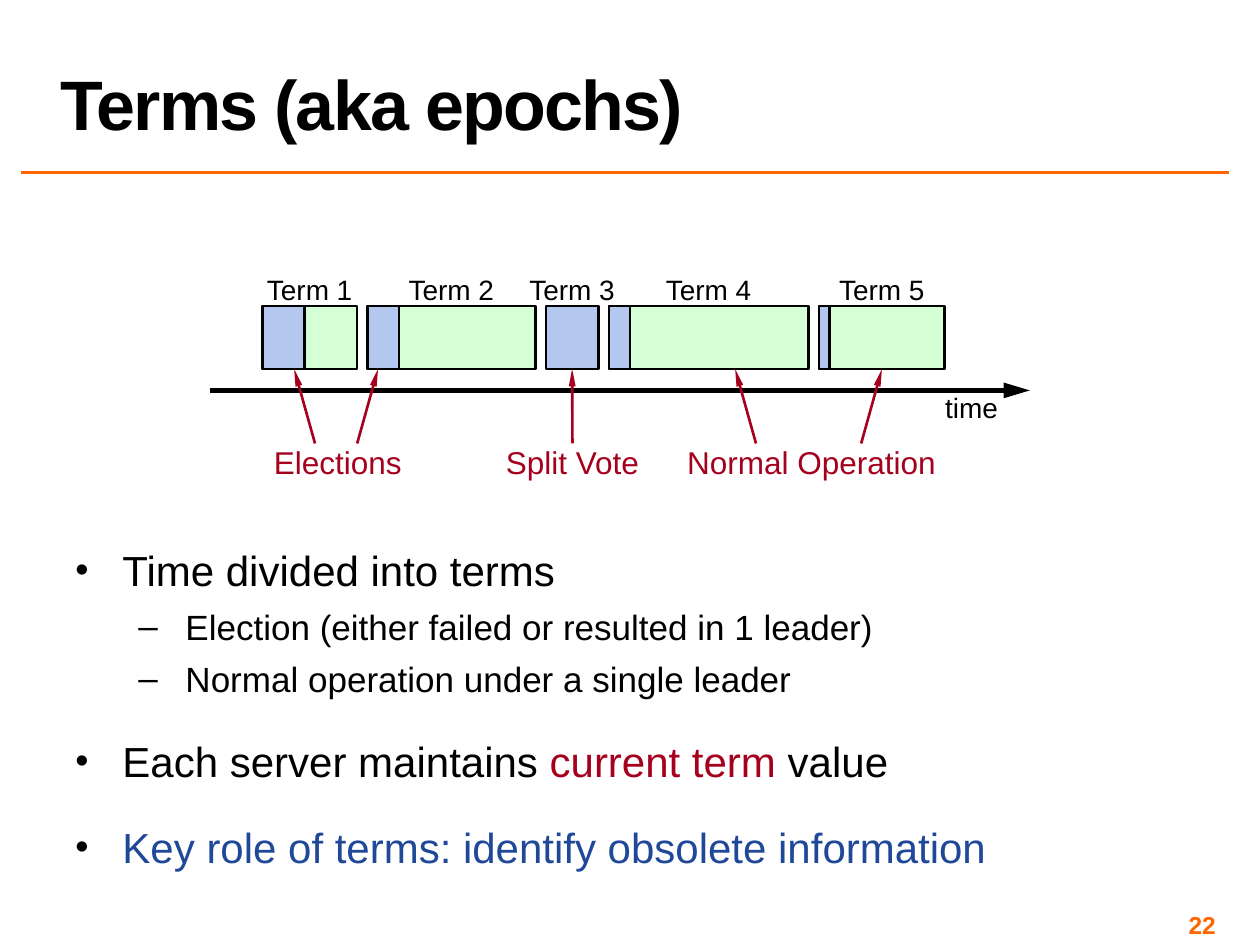
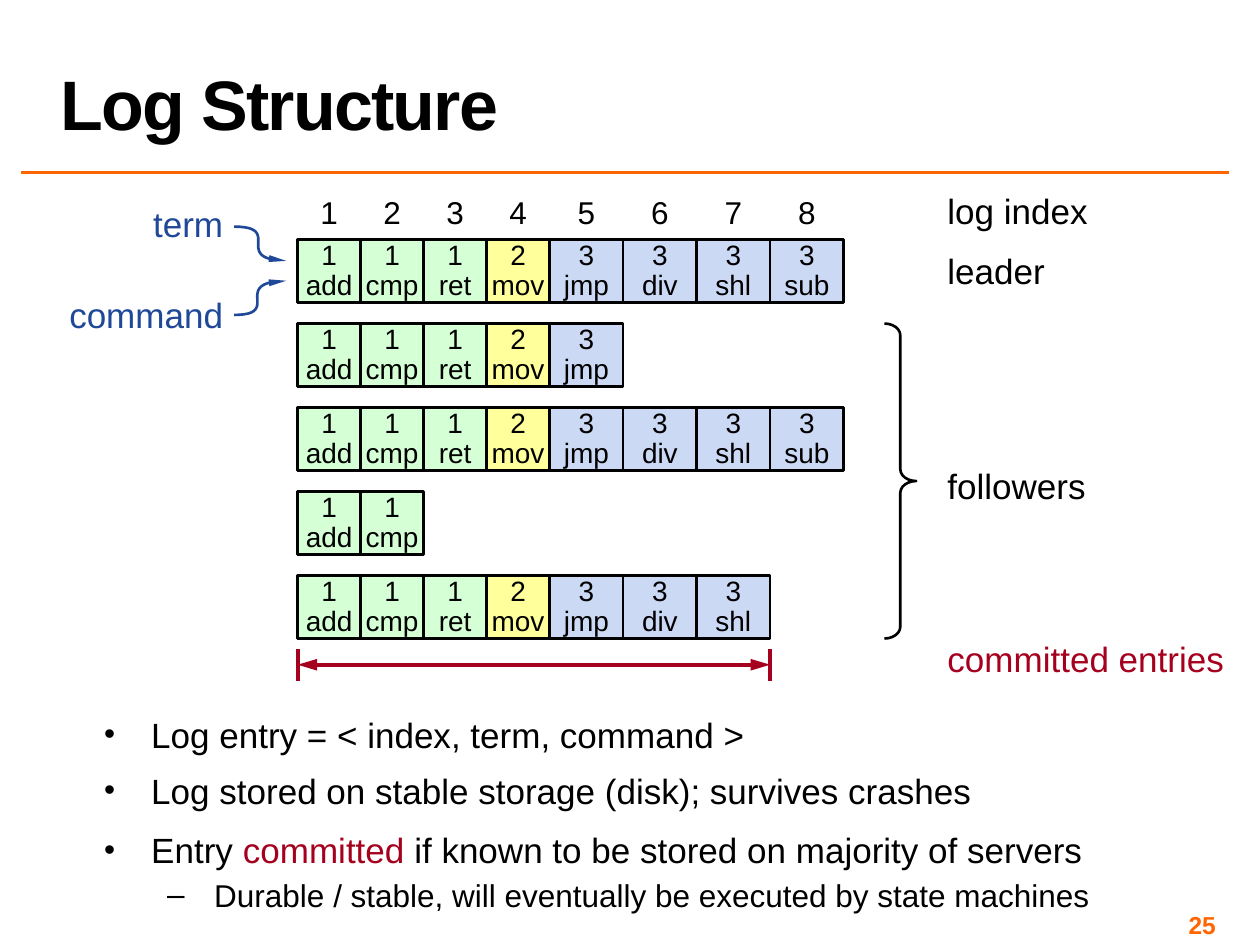
"""Build two slides on consensus terms and replicated log structure."""
import lxml.etree
import pptx
import pptx.dml.color
import pptx.enum.shapes
import pptx.enum.text
import pptx.oxml.ns
import pptx.util

Cm = pptx.util.Cm
Pt = pptx.util.Pt
ALIGN = pptx.enum.text.PP_ALIGN
ANCHOR = pptx.enum.text.MSO_ANCHOR
SHAPE = pptx.enum.shapes.MSO_SHAPE
qn = pptx.oxml.ns.qn

COLORS = {
    "black": "000000",
    "rule": "FF6600",
    "number": "FF6501",
    "red": "A5001E",
    "blue": "1F4899",
    "election": "B3C7EF",
    "green": "D5FFD5",
    "yellow": "FFFF9B",
    "lavender": "CCD9F4",
}
FONT = "Arial"
UNIT = Cm(2.54) // 12
BOX_HEIGHT = 6 * UNIT
TERMS = [(9, 4), (16, 3), (5, 5), (19, 2), (12, 1)]
ENTRIES = [(1, "add"), (1, "cmp"), (1, "ret"), (2, "mov"),
           (3, "jmp"), (3, "div"), (3, "shl"), (3, "sub")]
ENTRY_WIDTHS = [6 * UNIT] * 4 + [7 * UNIT] * 4
TERM_COLORS = {1: "green", 2: "yellow", 3: "lavender"}
LOG_LENGTHS = [8, 5, 8, 2, 7]
COMMITTED = 7


def rgb(color):
    return pptx.dml.color.RGBColor.from_string(COLORS[color])


def set_font(font, size, color="black", bold=False):
    font.name = FONT
    font.size = Pt(size)
    font.bold = bold
    font.color.rgb = rgb(color)


def clear_margins(frame):
    frame.margin_left = frame.margin_right = frame.margin_top = frame.margin_bottom = 0


def add_label(slide, text, left, top, width, size, color="black", align=ALIGN.CENTER):
    label = slide.shapes.add_textbox(left, top, width, Pt(size * 1.2))
    frame = label.text_frame
    frame.word_wrap = True
    clear_margins(frame)
    paragraph = frame.paragraphs[0]
    paragraph.text = text
    paragraph.alignment = align
    set_font(paragraph.font, size, color)
    return label


def style_line(shape, color, width, ends=(), head_width="med"):
    shape.line.color.rgb = rgb(color)
    shape.line.width = Pt(width)
    outline = shape._element.spPr.find(qn("a:ln"))
    for end in ends:
        lxml.etree.SubElement(outline, qn(f"a:{end}"), type="triangle", w=head_width, len="lg")


def add_line(slide, start, finish, color, width, ends=(), head_width="med"):
    line = slide.shapes.add_connector(pptx.enum.shapes.MSO_CONNECTOR.STRAIGHT, *start, *finish)
    style_line(line, color, width, ends, head_width)
    lxml.etree.SubElement(line._element.spPr, qn("a:effectLst"))
    return line


def add_box(slide, left, top, width, fill):
    box = slide.shapes.add_shape(SHAPE.RECTANGLE, left, top, width, BOX_HEIGHT)
    box.shadow.inherit = False
    box.fill.solid()
    box.fill.fore_color.rgb = rgb(fill)
    style_line(box, "black", 1.5)
    return box


def add_entry(slide, left, top, width, term, command):
    frame = add_box(slide, left, top, width, TERM_COLORS[term]).text_frame
    clear_margins(frame)
    frame.vertical_anchor = ANCHOR.MIDDLE
    paragraph = frame.paragraphs[0]
    paragraph.add_run().text = str(term)
    paragraph.add_line_break()
    paragraph.add_run().text = command
    paragraph.alignment = ALIGN.CENTER
    paragraph.line_spacing = Pt(17)
    set_font(paragraph.font, 16)


def add_curve(slide, start, control_1, control_2, finish, steps=24):
    def point(t):
        weights = ((1 - t) ** 3, 3 * t * (1 - t) ** 2, 3 * t * t * (1 - t), t ** 3)
        corners = (start, control_1, control_2, finish)
        return tuple(int(Cm(sum(w * c[axis] for w, c in zip(weights, corners))))
                     for axis in (0, 1))

    builder = slide.shapes.build_freeform(*point(0))
    builder.add_line_segments([point(i / steps) for i in range(1, steps + 1)], close=False)
    curve = builder.convert_to_shape()
    curve.shadow.inherit = False
    curve.fill.background()
    style_line(curve, "blue", 1.5, ["tailEnd"], "sm")


def add_bullet(paragraph, level):
    paragraph.level = level
    properties = paragraph._p.get_or_add_pPr()
    properties.set("marL", str(Cm(2.22 if level else 0.95)))
    properties.set("indent", str(-Cm(0.95)))
    color = lxml.etree.SubElement(properties, qn("a:buClr"))
    lxml.etree.SubElement(color, qn("a:srgbClr"), val=COLORS["black"])
    lxml.etree.SubElement(properties, qn("a:buSzPct"), val="100000" if level else "90000")
    lxml.etree.SubElement(properties, qn("a:buFont"), typeface=FONT)
    lxml.etree.SubElement(properties, qn("a:buChar"), char="–" if level else "•")


def add_bullets(slide, left, top, height, items):
    """Add items of (level, size, space before, space after, line spacing, runs)."""
    frame = slide.shapes.add_textbox(left, top, Cm(22.86), height).text_frame
    frame.word_wrap = True
    for i, (level, size, before, after, spacing, runs) in enumerate(items):
        paragraph = frame.add_paragraph() if i else frame.paragraphs[0]
        add_bullet(paragraph, level)
        paragraph.space_before = Pt(before)
        paragraph.space_after = Pt(after)
        paragraph.line_spacing = spacing
        colors = {color for _, color in runs}
        set_font(paragraph.font, size, colors.pop() if len(colors) == 1 else "black")
        for text, color in runs:
            run = paragraph.add_run()
            run.text = text
            if colors:
                run.font.color.rgb = rgb(color)


def add_titled_slide(deck, heading, number):
    slide = deck.slides.add_slide(deck.slide_layouts[5])
    title = slide.shapes.title
    title.left, title.top, title.width, title.height = Cm(0.97), Cm(0.05), Cm(23.8), Cm(2.97)
    frame = title.text_frame
    frame.auto_size = pptx.enum.text.MSO_AUTO_SIZE.NONE
    frame.vertical_anchor = ANCHOR.BOTTOM
    paragraph = frame.paragraphs[0]
    paragraph.text = heading
    paragraph.alignment = ALIGN.LEFT
    paragraph.line_spacing = 0.8
    set_font(paragraph.font, 40, bold=True)
    paragraph.runs[0]._r.get_or_add_rPr().set("spc", "-100")
    add_line(slide, (Cm(0.43), Cm(3.48)), (Cm(24.77), Cm(3.48)), "rule", 2)
    page = add_label(slide, number, Cm(18.85), Cm(18.34), Cm(5.66), 14, "number", ALIGN.RIGHT)
    page.text_frame.paragraphs[0].font.bold = True
    return slide


def add_timeline(slide):
    top = Cm(6.17)
    bottom = top + BOX_HEIGHT
    add_line(slide, (Cm(4.23), Cm(7.87)), (Cm(20.76), Cm(7.87)), "black", 3, ["tailEnd"])
    add_label(slide, "time", Cm(18.95), Cm(7.87), Cm(1.27), 16)

    left = Cm(5.29)
    term_boxes = []
    for number, (length, election) in enumerate(TERMS, 1):
        width = length * UNIT
        if election < length:
            term_boxes.append(add_box(slide, left, top, width, "green"))
            add_box(slide, left, top, election * UNIT, "election")
        else:
            term_boxes.append(add_box(slide, left, top, width, "election"))
        add_label(slide, f"Term {number}", left + width // 2 - Cm(0.95), Cm(5.49), Cm(1.9), 16)
        left += width + UNIT

    label_top = Cm(8.94)
    callouts = {}
    for text, center in [("Elections", 6.81), ("Split Vote", 11.54), ("Normal Operation", 16.36)]:
        callouts[text] = add_label(slide, text, Cm(center - 2.7), label_top, Cm(5.4), 18, "red")
    pointers = [add_line(slide, (Cm(start), label_top), (Cm(finish), bottom),
                         "red", 1.5, ["tailEnd"], "sm")
                for start, finish in [(6.35, 5.93), (7.2, 7.62), (11.54, 11.54),
                                      (15.24, 14.82), (17.36, 17.78)]]
    pointers[2].begin_connect(callouts["Split Vote"], 0)
    pointers[2].end_connect(term_boxes[2], 2)
    pointers[4].end_connect(term_boxes[4], 2)


def add_logs(slide):
    left, top = Cm(6), Cm(4.83)
    edges = [left + sum(ENTRY_WIDTHS[:i]) for i in range(len(ENTRIES) + 1)]
    for index, (edge, width) in enumerate(zip(edges, ENTRY_WIDTHS), 1):
        add_label(slide, str(index), edge, Cm(3.89), width, 18)
    for row, length in enumerate(LOG_LENGTHS):
        for edge, width, entry in zip(edges[:length], ENTRY_WIDTHS, ENTRIES):
            add_entry(slide, edge, top + row * 8 * UNIT, width, *entry)

    brace = slide.shapes.add_shape(SHAPE.RIGHT_BRACE, Cm(17.83), top + 8 * UNIT,
                                   Cm(0.64), 30 * UNIT)
    brace.adjustments[0] = 0.37
    brace.shadow.inherit = False
    brace.fill.background()
    style_line(brace, "black", 1.5)

    ends = (edges[0], edges[COMMITTED])
    for edge in ends:
        add_line(slide, (edge, Cm(13.08)), (edge, Cm(13.72)), "red", 2.25)
    add_line(slide, (ends[0], Cm(13.4)), (ends[1], Cm(13.4)), "red", 2.25,
             ["headEnd", "tailEnd"])


def add_log_labels(slide):
    for text, top, color in [("log index", 3.81, "black"), ("leader", 5.03, "black"),
                             ("followers", 9.37, "black"), ("committed entries", 12.85, "red")]:
        add_label(slide, text, Cm(19.1), Cm(top), Cm(5.8), 20, color, ALIGN.LEFT)
    for text, top in [("term", 4.09), ("command", 5.92)]:
        add_label(slide, text, Cm(1), Cm(top), Cm(3.5), 20, "blue", ALIGN.RIGHT)
    add_curve(slide, (4.72, 4.57), (5.74, 4.57), (4.65, 5.23), (5.77, 5.26))
    add_curve(slide, (4.72, 6.35), (5.72, 6.35), (4.62, 5.69), (5.77, 5.66))


def main():
    deck = pptx.Presentation()
    deck.slide_width, deck.slide_height = Cm(25.4), Cm(19.05)

    terms = add_titled_slide(deck, "Terms (aka epochs)", "22")
    add_timeline(terms)
    add_bullets(terms, Cm(1.27), Cm(10.85), Cm(7.01), [
        (0, 24, 0, 0, 1, [("Time divided into terms", "black")]),
        (1, 20, 6, 0, 1, [("Election (either failed or resulted in 1 leader)", "black")]),
        (1, 20, 6, 0, 1, [("Normal operation under a single leader", "black")]),
        (0, 24, 6, 0, 1.5, [("Each server maintains ", "black"), ("current term ", "red"),
                            ("value", "black")]),
        (0, 24, 6, 0, 1.5, [("Key role of terms: identify obsolete information", "blue")]),
    ])

    log = add_titled_slide(deck, "Log Structure", "25")
    add_logs(log)
    add_log_labels(log)
    add_bullets(log, Cm(1.85), Cm(14.25), Cm(4.39), [
        (0, 20, 0, 4, 1, [("Log entry = < index, term, command >", "black")]),
        (0, 20, 4, 4, 1, [("Log stored on stable storage (disk); survives crashes", "black")]),
        (0, 20, 6, 0, 1, [("Entry ", "black"), ("committed", "red"),
                          (" if known to be stored on majority of servers", "black")]),
        (1, 18, 3, 0, 1, [("Durable / stable, will eventually be executed by state machines",
                           "black")]),
    ])
    deck.save("out.pptx")


if __name__ == "__main__":
    main()
